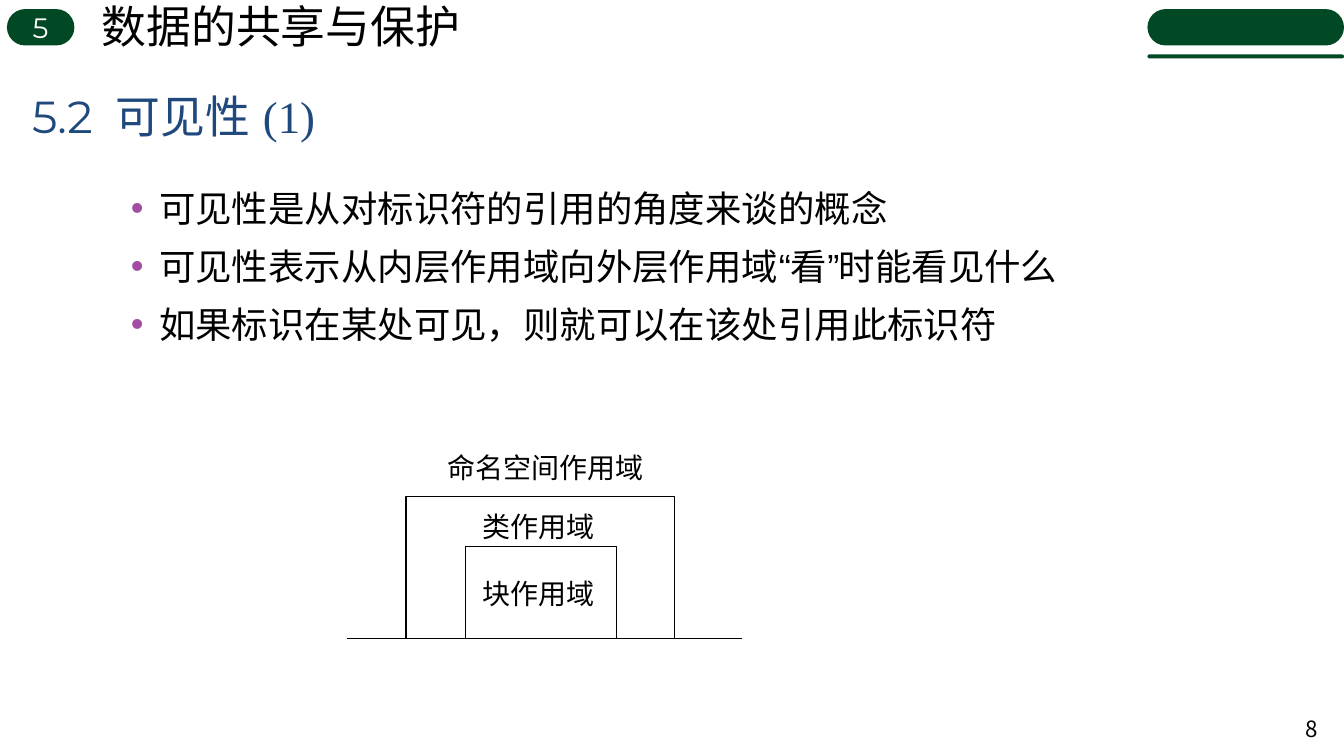
"""Build a slide about identifier visibility with a nested scope diagram."""
from lxml import etree
from pptx import Presentation
from pptx import util as u
from pptx.dml.color import RGBColor
from pptx.enum import lang, shapes, text
from pptx.oxml import ns

GREEN, BLUE, PURPLE, BLACK, WHITE = "014924", "1F497D", "A04DA3", "000000", "FFFFFF"
CJK_FONT = "Noto Sans CJK SC"


def color(hex_value):
    """Turn a hex string into a colour."""
    return RGBColor.from_string(hex_value)


def format_run(run, size, font, hex_value, gap=0):
    """Set size, typeface, colour and extra letter spacing of a run."""
    run.font.size = u.Pt(size)
    run.font.name = font
    run.font.color.rgb = color(hex_value)
    run.font.language_id = lang.MSO_LANGUAGE_ID.SIMPLIFIED_CHINESE
    properties = run._r.get_or_add_rPr()
    etree.SubElement(properties, ns.qn("a:ea")).set("typeface", "Arial")
    if gap:
        properties.set("spc", str(gap * 100))


def add_text(parent, box, lines, size, font, hex_value=BLACK,
             align=text.PP_ALIGN.LEFT, anchor=text.MSO_ANCHOR.TOP):
    """Place a text box of uniformly formatted lines and return its frame."""
    frame = parent.add_textbox(*map(u.Pt, box)).text_frame
    frame.word_wrap = True
    frame.vertical_anchor = anchor
    frame.text = "\n".join(lines)
    for paragraph in frame.paragraphs:
        paragraph.alignment = align
        for run in paragraph.runs:
            format_run(run, size, font, hex_value)
    return frame


def add_pill(parent, box):
    """Place a green bar with fully rounded ends."""
    pill = parent.add_shape(shapes.MSO_SHAPE.ROUNDED_RECTANGLE, *map(u.Pt, box))
    pill.adjustments[0] = 0.5
    pill.shadow.inherit = False
    pill.fill.solid()
    pill.fill.fore_color.rgb = color(GREEN)
    pill.line.fill.background()
    return pill


def add_header(slide, left, top, width):
    """Place the chapter number, chapter name and right-hand badge."""
    number = add_pill(slide.shapes, (left, top, 48.2, 26))
    frame = number.text_frame
    frame.text = "5"
    frame.vertical_anchor = text.MSO_ANCHOR.MIDDLE
    frame.paragraphs[0].alignment = text.PP_ALIGN.CENTER
    format_run(frame.paragraphs[0].runs[0], 20, "Montserrat", WHITE)
    add_text(slide.shapes, (left + 60.5, top - 10.8, 274, 46),
             ["数据的共享与保护"], 32, "Arial")
    badge = slide.shapes.add_group_shape().shapes
    badge_left = left + width - 140.4
    add_pill(badge, (badge_left, top, 140.4, 26))
    add_pill(badge, (badge_left, top + 32.4, 140.4, 2.9))


def add_title(slide, box):
    """Place the section title in its two typefaces."""
    frame = add_text(slide.shapes, box, [""], 32, "Montserrat",
                     anchor=text.MSO_ANCHOR.MIDDLE)
    paragraph = frame.paragraphs[0]
    paragraph.line_spacing = 0.9
    for words, font, gap in (("5.2", "Montserrat", 0), (" ", "Montserrat", 8),
                             ("可见性 ", "Montserrat", 0), ("(1)", "Times New Roman", 0)):
        run = paragraph.add_run()
        run.text = words
        format_run(run, 32, font, BLUE, gap)


def add_bullets(slide, box):
    """Place the bulleted statements."""
    frame = add_text(slide.shapes, box, [
        "可见性是从对标识符的引用的角度来谈的概念",
        "可见性表示从内层作用域向外层作用域“看”时能看见什么",
        "如果标识在某处可见，则就可以在该处引用此标识符",
    ], 26, "Arial")
    for paragraph in frame.paragraphs:
        paragraph.line_spacing = 1.04
        paragraph.space_before = u.Pt(3)
        paragraph.space_after = u.Pt(6)
        properties = paragraph._p.get_or_add_pPr()
        properties.set("marL", str(u.Pt(28.8)))
        properties.set("indent", str(u.Pt(-20.2)))
        bullet_color = etree.SubElement(properties, ns.qn("a:buClr"))
        etree.SubElement(bullet_color, ns.qn("a:srgbClr")).set("val", PURPLE)
        etree.SubElement(properties, ns.qn("a:buFont")).set("typeface", "Arial")
        etree.SubElement(properties, ns.qn("a:buChar")).set("char", "•")


def style_line(line):
    """Give an outline the thin black diagram stroke."""
    line.color.rgb = color(BLACK)
    line.width = u.Pt(0.75)


def add_scope(parent, left, top, width, bottom):
    """Draw a scope as a frame that is open at the bottom."""
    right = left + width
    builder = parent.build_freeform(u.Pt(left), u.Pt(bottom))
    corners = ((left, top), (right, top), (right, bottom))
    builder.add_line_segments([(u.Pt(x), u.Pt(y)) for x, y in corners], close=False)
    scope = builder.convert_to_shape()
    scope.shadow.inherit = False
    scope.fill.background()
    style_line(scope.line)


def add_scope_diagram(slide, left, top, width, height):
    """Draw the nested scopes standing on a base line."""
    parent = slide.shapes.add_group_shape().shapes
    bottom = top + height
    base = parent.add_connector(shapes.MSO_CONNECTOR.STRAIGHT, u.Pt(left), u.Pt(bottom),
                                u.Pt(left + width), u.Pt(bottom))
    etree.SubElement(base._element.spPr, ns.qn("a:effectLst"))
    style_line(base.line)
    for offset, drop, span in ((42.2, 36, 192), (84.4, 72, 108)):
        add_scope(parent, left + offset, top + drop, span, bottom)
    for label, offset, drop, span in (("块作用域", 90, 90, 96), ("类作用域", 90, 41.8, 114),
                                      ("命名空间作用域", 64.8, 0, 158)):
        add_text(parent, (left + offset, top + drop, span, 31), [label], 20, CJK_FONT)


def main():
    """Assemble and save the slide."""
    presentation = Presentation()
    presentation.slide_width, presentation.slide_height = u.Pt(960), u.Pt(540)
    slide = presentation.slides.add_slide(presentation.slide_layouts[6])
    add_header(slide, 5, 6.5, 955)
    add_text(slide.shapes, (913, 506, 35.3, 29), ["8"], 16, CJK_FONT,
             align=text.PP_ALIGN.RIGHT, anchor=text.MSO_ANCHOR.MIDDLE)
    add_title(slide, (15.8, 62, 265, 46))
    add_bullets(slide, (77.8, 128, 775.4, 147.6))
    add_scope_diagram(slide, 247.8, 318.4, 282.2, 138)
    presentation.save("out.pptx")


if __name__ == "__main__":
    main()
